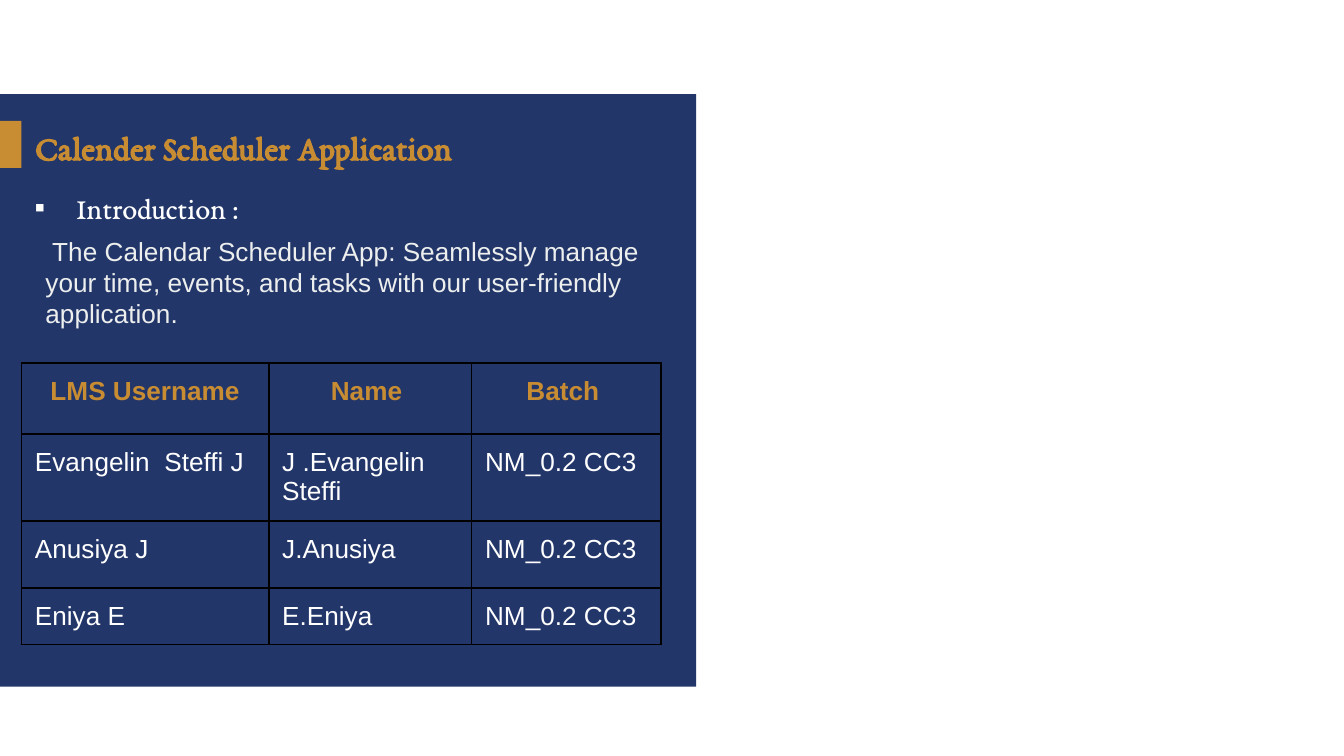
from dataclasses import dataclass

from pptx import Presentation
from pptx.dml.color import RGBColor
from pptx.enum.shapes import MSO_SHAPE
from pptx.enum.text import MSO_ANCHOR, MSO_AUTO_SIZE, PP_ALIGN
from pptx.oxml.ns import qn
from pptx.slide import Slide
from pptx.table import _Cell
from pptx.text.text import TextFrame, _Paragraph
from pptx.util import Inches, Pt
from lxml.etree import SubElement


@dataclass(frozen=True)
class Theme:
    navy: str = "223669"
    gold: str = "C88C32"
    white: str = "FFFFFF"
    pale: str = "EDEFEE"
    black: str = "000000"
    serif: str = "EB Garamond"
    sans: str = "Arial"
    title_size: float = 18.3
    heading_size: float = 16
    body_size: float = 14
    border_width: float = 1


@dataclass(frozen=True)
class Box:
    left: float
    top: float
    width: float
    height: float

    def lengths(self) -> tuple:
        return tuple(map(Inches, (self.left, self.top, self.width, self.height)))


@dataclass(frozen=True)
class Panel:
    box: Box
    color: str


@dataclass(frozen=True)
class TextStyle:
    font: str
    size: float
    color: str
    bold: bool = False


THEME = Theme()
TITLE = TextStyle(THEME.serif, THEME.title_size, THEME.gold, True)
HEADING = TextStyle(THEME.serif, THEME.heading_size, THEME.white)
BODY = TextStyle(THEME.sans, THEME.body_size, THEME.pale)
TABLE_HEADER = TextStyle(THEME.sans, THEME.body_size, THEME.gold, True)
TABLE_BODY = TextStyle(THEME.sans, THEME.body_size, THEME.white)

SLIDE_WIDTH = 10
SLIDE_HEIGHT = SLIDE_WIDTH * 9 / 16
PANELS = [
    Panel(Box(0, 0.7, 5.18, 4.41), THEME.navy),
    Panel(Box(0, 0.9, 0.16, 0.35), THEME.gold),
]
BATCH = "NM_0.2 CC3"
MEMBERS = [
    ("LMS Username", "Name ", "Batch "),
    ("Evangelin  Steffi J", "J .Evangelin Steffi", BATCH),
    ("Anusiya J", "J.Anusiya", BATCH),
    ("Eniya E", "E.Eniya", BATCH),
]
COLUMN_WIDTHS = (1.84, 1.51, 1.41)
ROW_HEIGHTS = (0.53, 0.5, 0.5, 0.42)


def add_run(paragraph: _Paragraph, text: str, style: TextStyle) -> None:
    run = paragraph.add_run()
    run.text = text
    run.font.name = style.font
    run.font.size = Pt(style.size)
    run.font.bold = style.bold
    run.font.color.rgb = RGBColor.from_string(style.color)


def add_panel(slide: Slide, panel: Panel) -> None:
    shape = slide.shapes.add_shape(MSO_SHAPE.RECTANGLE, *panel.box.lengths())
    shape.shadow.inherit = False
    shape.fill.solid()
    shape.fill.fore_color.rgb = RGBColor.from_string(panel.color)
    shape.line.fill.background()


def set_title(slide: Slide, box: Box, text: str) -> None:
    title = slide.shapes.title
    title.left, title.top, title.width, title.height = box.lengths()
    frame = title.text_frame
    frame.auto_size = MSO_AUTO_SIZE.NONE
    frame.vertical_anchor = MSO_ANCHOR.MIDDLE
    paragraph = frame.paragraphs[0]
    paragraph.alignment = PP_ALIGN.LEFT
    add_run(paragraph, text, TITLE)
    slide.shapes._spTree.append(title._element)


def add_text(slide: Slide, box: Box, text: str, style: TextStyle) -> TextFrame:
    frame = slide.shapes.add_textbox(*box.lengths()).text_frame
    frame.word_wrap = True
    add_run(frame.paragraphs[0], text, style)
    return frame


def add_bullet(paragraph: _Paragraph, character: str, color: str, indent: float) -> None:
    properties = paragraph._p.get_or_add_pPr()
    properties.set("marL", str(Inches(indent)))
    properties.set("indent", str(-Inches(indent)))
    bullet_color = SubElement(properties, qn("a:buClr"))
    SubElement(bullet_color, qn("a:srgbClr"), val=color)
    SubElement(properties, qn("a:buFont"), typeface=THEME.sans)
    SubElement(properties, qn("a:buChar"), char=character)


def set_borders(cell: _Cell) -> None:
    properties = cell._tc.get_or_add_tcPr()
    for side in ("lnL", "lnR", "lnT", "lnB"):
        line = SubElement(properties, qn(f"a:{side}"), w=str(Pt(THEME.border_width)))
        fill = SubElement(line, qn("a:solidFill"))
        SubElement(fill, qn("a:srgbClr"), val=THEME.black)


def fill_cell(cell: _Cell, text: str, is_header: bool) -> None:
    set_borders(cell)
    cell.fill.background()
    cell.margin_left = cell.margin_right = cell.margin_top = Inches(0.1)
    cell.margin_bottom = Inches(0.08)
    paragraph = cell.text_frame.paragraphs[0]
    paragraph.alignment = PP_ALIGN.CENTER if is_header else PP_ALIGN.LEFT
    add_run(paragraph, text, TABLE_HEADER if is_header else TABLE_BODY)


def add_member_table(slide: Slide, left: float, top: float) -> None:
    box = Box(left, top, sum(COLUMN_WIDTHS), sum(ROW_HEIGHTS))
    table = slide.shapes.add_table(
        len(ROW_HEIGHTS), len(COLUMN_WIDTHS), *box.lengths()).table
    table.horz_banding = False
    for column, width in zip(table.columns, COLUMN_WIDTHS):
        column.width = Inches(width)
    for row, height in zip(table.rows, ROW_HEIGHTS):
        row.height = Inches(height)
    for row_index, member in enumerate(MEMBERS):
        for column_index, text in enumerate(member):
            fill_cell(table.cell(row_index, column_index), text, row_index == 0)


def main() -> None:
    presentation = Presentation()
    presentation.slide_width = Inches(SLIDE_WIDTH)
    presentation.slide_height = Inches(SLIDE_HEIGHT)
    slide = presentation.slides.add_slide(presentation.slide_layouts[5])
    for panel in PANELS:
        add_panel(slide, panel)
    set_title(slide, Box(0.16, 0.9, 3.74, 0.38), "Calender Scheduler Application")
    heading = add_text(slide, Box(0.16, 1.36, 4.97, 3.32), "Introduction :", HEADING)
    add_bullet(heading.paragraphs[0], "▪", THEME.white, 0.31)
    add_member_table(slide, 0.16, 2.7)
    introduction = add_text(
        slide, Box(0.24, 1.7, 4.9, 0.81),
        " The Calendar Scheduler App: Seamlessly manage your time, events, "
        "and tasks with our user-friendly application.", BODY)
    introduction.auto_size = MSO_AUTO_SIZE.SHAPE_TO_FIT_TEXT
    presentation.save("out.pptx")


if __name__ == "__main__":
    main()
